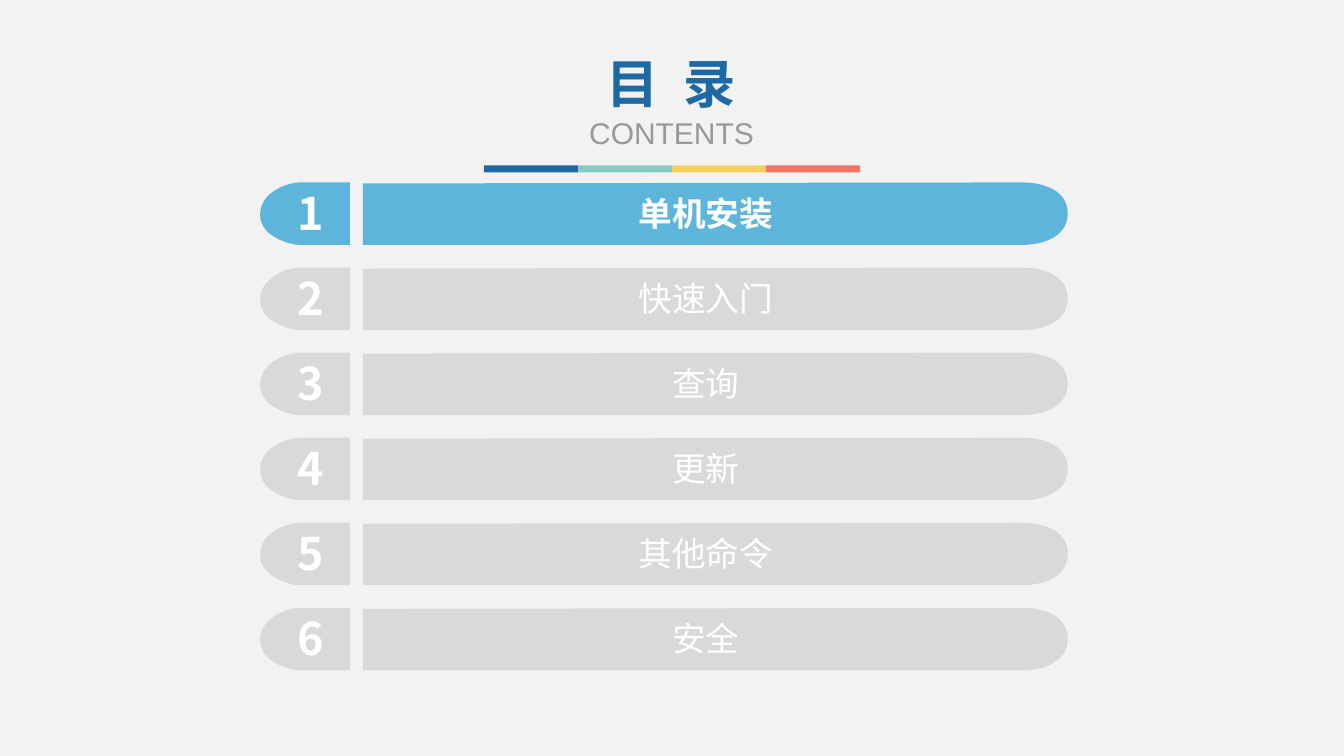
"""Build a contents slide with six numbered rows, the first one active."""
from dataclasses import dataclass

from pptx import Presentation
from pptx import util as u
from pptx.dml.color import RGBColor
from pptx.enum import shapes, text
from pptx.oxml import ns
from lxml import etree

HUES = {
    "back": "F2F2F2", "blue": "1D69A3", "mint": "84CBC3", "gold": "F8D158",
    "coral": "F57365", "mute": "999999", "live": "5DB5DB", "idle": "D9D9D9",
    "white": "FFFFFF",
}
SANS = "Noto Sans CJK SC"
TOP = 1.81
PITCH = (6.03 - TOP) / 5
STRIPE = (8.53 - 4.8) / 4
CAP = [
    [(0.89, 0)], [(0.89, 0.62)], [(0.39, 0.62)],
    [(0.32, 0.62), (0, 0.55), (0, 0.32)],
    [(0, 0.08), (0.3, 0), (0.39, 0)],
]
BAR = [
    [(0, 0.01)], [(0, 0.62)],
    [(0.24, 0.62), (6.36, 0.62), (6.54, 0.62)],
    [(6.71, 0.62), (6.98, 0.56), (6.99, 0.32)],
    [(7, 0.08), (6.75, 0), (6.54, 0)],
    [(6.32, 0), (0.24, 0.01), (0, 0.01)],
]


@dataclass
class Row:
    """One entry of the contents list."""
    label: str
    hue: str = "idle"
    bold: bool = False


@dataclass
class Box:
    """A text box placed relative to the top of its row."""
    left: float
    top: float
    width: float
    height: float
    size: float


NUMBER = Box(2.84, -0.02, 0.48, 0.64, 32)
LABEL = Box(3.65, 0.05, 6.7, 0.5, 24)
ROWS = [
    Row("单机安装", "live", True), Row("快速入门"), Row("查询"),
    Row("更新"), Row("其他命令"), Row("安全"),
]


def color(name: str) -> RGBColor:
    """Look up a named colour."""
    return RGBColor.from_string(HUES[name])


def paint(shape, hue: str) -> None:
    """Give a shape a flat fill without line or shadow."""
    shape.shadow.inherit = False
    shape.fill.solid()
    shape.fill.fore_color.rgb = color(hue)
    shape.line.fill.background()


def style(para, name: str, size: float, hue: str, bold: bool) -> None:
    """Centre a paragraph and set its font."""
    para.alignment = text.PP_ALIGN.CENTER
    font = para.font
    font.name, font.size, font.bold = name, u.Pt(size), bold
    font.color.rgb = color(hue)


def curve(shape, steps: list) -> None:
    """Turn each run of three line segments into one cubic curve."""
    lines = iter(list(shape._element.iter(ns.qn("a:lnTo"))))
    for step in steps[1:]:
        parts = [next(lines) for _ in step]
        if len(parts) == 3:
            cubic = etree.Element(ns.qn("a:cubicBezTo"))
            parts[0].addprevious(cubic)
            for part in parts:
                cubic.append(part[0])
                part.getparent().remove(part)


def trace(group, steps: list, left: float, top: float, hue: str) -> None:
    """Draw a closed outline from straight and curved steps."""
    spots = [(u.Inches(left + x), u.Inches(top + y)) for step in steps for x, y in step]
    pen = group.shapes.build_freeform(*spots[0])
    pen.add_line_segments(spots[1:], close=True)
    shape = pen.convert_to_shape()
    curve(shape, steps)
    paint(shape, hue)


def write(group, box: Box, top: float, words: str, bold: bool) -> None:
    """Add a centred white text box to a row."""
    area = group.shapes.add_textbox(
        u.Inches(box.left), u.Inches(top + box.top),
        u.Inches(box.width), u.Inches(box.height))
    frame = area.text_frame
    frame.word_wrap = True
    frame.vertical_anchor = text.MSO_ANCHOR.MIDDLE
    frame.text = words
    style(frame.paragraphs[0], SANS, box.size, "white", bold)


def head(slide) -> None:
    """Fill the title and draw the stripes below it."""
    title = slide.shapes.title
    title.left, title.top = u.Inches(5.58), u.Inches(0.46)
    title.width, title.height = u.Inches(2.16), u.Inches(1.09)
    frame = title.text_frame
    frame.auto_size = text.MSO_AUTO_SIZE.NONE
    frame.vertical_anchor = text.MSO_ANCHOR.TOP
    first = frame.paragraphs[0]
    for part, gap in (("目 ", 4.5), ("录", 0)):
        run = first.add_run()
        run.text = part
        run._r.get_or_add_rPr().set("spc", str(int(gap * 100)))
    style(first, "Roboto Condensed", 37.4, "blue", True)
    second = frame.add_paragraph()
    second.text = "CONTENTS"
    style(second, "Arial", 21.4, "mute", False)
    group = slide.shapes.add_group_shape()
    for i, hue in enumerate(("blue", "mint", "gold", "coral")):
        stripe = group.shapes.add_shape(
            shapes.MSO_SHAPE.RECTANGLE, u.Inches(4.8 + i * STRIPE), u.Inches(1.64),
            u.Inches(STRIPE), u.Inches(0.07))
        paint(stripe, hue)


def main() -> None:
    """Build and save the slide."""
    deck = Presentation()
    deck.slide_width, deck.slide_height = u.Inches(13.33), u.Inches(7.5)
    slide = deck.slides.add_slide(deck.slide_layouts[5])
    slide.background.fill.solid()
    slide.background.fill.fore_color.rgb = color("back")
    head(slide)
    for i, row in enumerate(ROWS):
        top = TOP + i * PITCH
        group = slide.shapes.add_group_shape()
        trace(group, CAP, 2.58, top, row.hue)
        trace(group, BAR, 3.6, top, row.hue)
        write(group, NUMBER, top, str(i + 1), True)
        write(group, LABEL, top, row.label, row.bold)
    deck.save("out.pptx")


if __name__ == "__main__":
    main()
